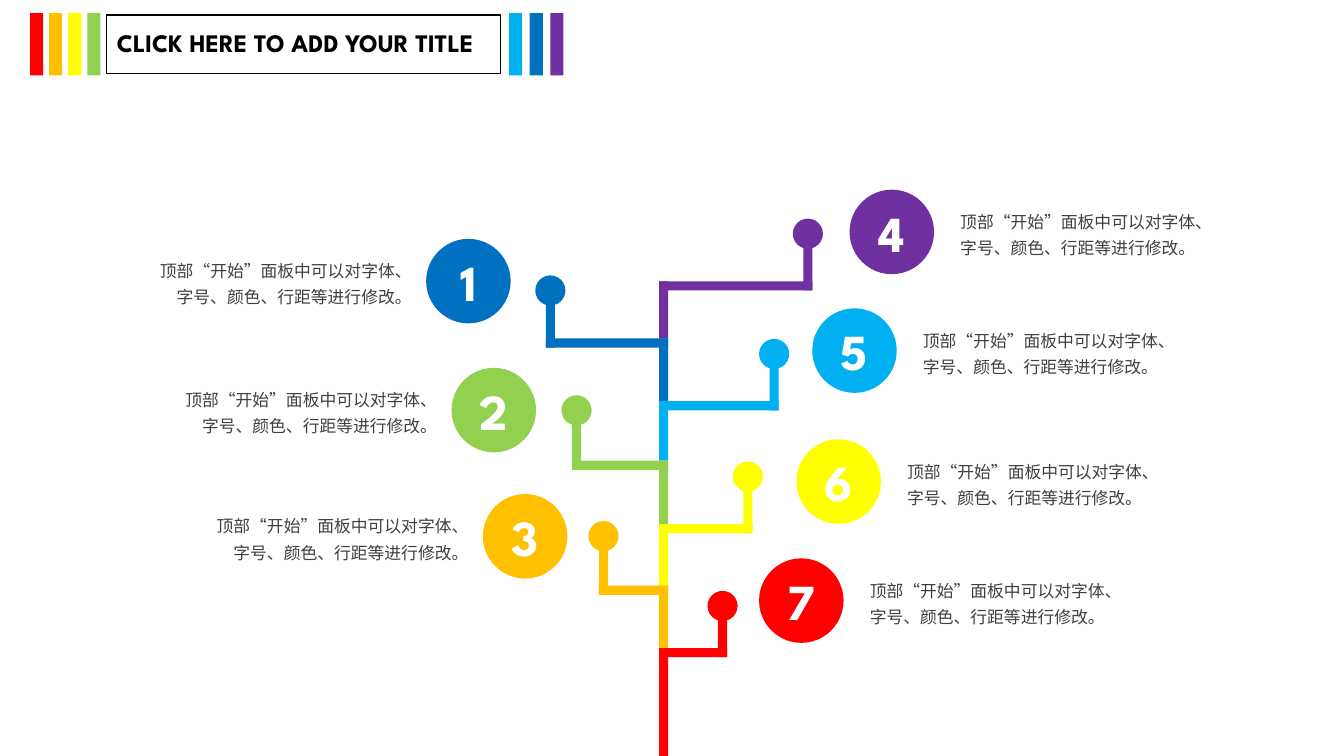
from lxml import etree
from pptx import Presentation
from pptx.dml.color import RGBColor
from pptx.enum.lang import MSO_LANGUAGE_ID
from pptx.enum.shapes import MSO_SHAPE
from pptx.enum.text import MSO_ANCHOR, MSO_AUTO_SIZE, PP_ALIGN
from pptx.oxml.ns import qn
from pptx.util import Cm, Pt

RECT, OVAL = MSO_SHAPE.RECTANGLE, MSO_SHAPE.OVAL
LEFT, CENTER, RIGHT = PP_ALIGN.LEFT, PP_ALIGN.CENTER, PP_ALIGN.RIGHT
MIDDLE = MSO_ANCHOR.MIDDLE
NO_FIT, GROW = MSO_AUTO_SIZE.NONE, MSO_AUTO_SIZE.SHAPE_TO_FIT_TEXT
CHINESE = MSO_LANGUAGE_ID.SIMPLIFIED_CHINESE

LATIN_FONT, CJK_FONT = "League Spartan", "Noto Sans CJK SC"
RED, ORANGE, YELLOW, GREEN = "FF0000", "FFC000", "FFFF00", "92D050"
CYAN, BLUE, PURPLE = "00B0F0", "0070C0", "7030A0"
TITLE = "CLICK HERE TO ADD YOUR TITLE"
NOTE = "顶部“开始”面板中可以对字体、字号、颜色、行距等进行修改。"

SLIDE_W, SLIDE_H = 33.87, 19.05
TRUNK_X, BAR = 16.61, 0.23
DOT, BADGE = 0.76, 2.13

# number, colour, trunk top, dot centre, badge corner
BRANCHES = [
    ("4", PURPLE, 7.09, (20.36, 5.89), (21.41, 4.78)),
    ("1", BLUE, 8.53, (13.87, 7.32), (10.74, 6.02)),
    ("5", CYAN, 10.11, (19.51, 8.92), (20.47, 7.77)),
    ("2", GREEN, 11.61, (14.53, 10.34), (11.38, 9.27)),
    ("6", YELLOW, 13.21, (18.85, 12.01), (20.07, 11.07)),
    ("3", ORANGE, 14.76, (15.21, 13.51), (12.17, 12.45)),
    ("7", RED, 16.33, (18.21, 15.27), (19.13, 14.07)),
]


def rgb(color):
    """Return the colour for a hex string."""
    return RGBColor.from_string(color)


def add_block(shapes, kind, x, y, w, h, color):
    """Add a plain filled shape, measured in centimetres."""
    sp = shapes.add_shape(kind, Cm(x), Cm(y), Cm(w), Cm(h))
    sp.shadow.inherit = False
    sp.fill.solid()
    sp.fill.fore_color.rgb = rgb(color)
    sp.line.fill.background()
    return sp


def add_run(p, text, size, font, color, bold=False):
    """Add one formatted run to a paragraph."""
    r = p.add_run()
    r.text = text
    r.font.size, r.font.name, r.font.bold = Pt(size), font, bold
    r.font.color.rgb = rgb(color)
    return r


def add_header(slide, x, y, w, h):
    """Place the framed title between two sets of stripes."""
    stripe_sets = [(0, 0.48, (RED, ORANGE, YELLOW, GREEN)),
                   (12.07, 0.52, (CYAN, BLUE, PURPLE))]
    for start, step, colors in stripe_sets:
        for i, color in enumerate(colors):
            add_block(slide.shapes, RECT, x + start + i * step, y, 0.33, h, color)
    sp = slide.shapes.title
    sp.left, sp.top = Cm(x + 1.93), Cm(y + 0.05)
    sp.width, sp.height = Cm(w - 3.6), Cm(h - 0.1)
    sp.line.color.rgb = rgb("000000")
    sp.line.width = Pt(1)
    tf = sp.text_frame
    tf.auto_size, tf.vertical_anchor, tf.word_wrap = NO_FIT, MIDDLE, True
    p = tf.paragraphs[0]
    p.alignment, p.line_spacing = LEFT, 0.9
    add_run(p, TITLE, 18, LATIN_FONT, "000000", True)


def add_branch(slide, x, top, bottom, dot, color):
    """Place a trunk section with its arm, post and dot."""
    dot_x, dot_y = dot
    post_x = dot_x - BAR / 2
    arm_x = min(x, post_x)
    arm_w = abs(post_x - x) + BAR
    shapes = slide.shapes
    add_block(shapes, RECT, x, top, BAR, bottom - top, color)
    add_block(shapes, RECT, arm_x, top, arm_w, BAR, color)
    add_block(shapes, RECT, post_x, dot_y, BAR, top + BAR - dot_y, color)
    add_block(shapes, OVAL, dot_x - DOT / 2, dot_y - DOT / 2, DOT, DOT, color)


def add_badge(slide, x, y, number, color):
    """Place a numbered circle with its note on the outer side."""
    on_left = x < TRUNK_X
    note_x, note_w = (x - 7.04, 6.93) if on_left else (x + 2.54, 7.04)
    group = slide.shapes.add_group_shape()
    sp = group.shapes.add_textbox(Cm(note_x), Cm(y + 0.28), Cm(note_w), Cm(1.6))
    tf = sp.text_frame
    tf.word_wrap, tf.auto_size = True, GROW
    p = tf.paragraphs[0]
    p.alignment, p.line_spacing = RIGHT if on_left else LEFT, 1.3
    r = add_run(p, NOTE, 12, CJK_FONT, "404040")
    r.font.language_id = CHINESE
    etree.SubElement(r.font._element, qn("a:ea"), typeface=CJK_FONT)

    sp = add_block(group.shapes, OVAL, x, y, BADGE, BADGE, color)
    tf = sp.text_frame
    tf.vertical_anchor = MIDDLE
    p = tf.paragraphs[0]
    p.alignment = CENTER
    add_run(p, number, 36, LATIN_FONT, "FFFFFF", True)


def add_tree(slide, x, bottom):
    """Place all branches down one trunk, then their badges."""
    ends = [branch[2] for branch in BRANCHES[1:]] + [bottom]
    for (_, color, top, dot, _), end in zip(BRANCHES, ends):
        add_branch(slide, x, top, end, dot, color)
    for number, color, _, _, (badge_x, badge_y) in sorted(BRANCHES):
        add_badge(slide, badge_x, badge_y, number, color)


def main():
    """Build the slide and save it."""
    prs = Presentation()
    prs.slide_width, prs.slide_height = Cm(SLIDE_W), Cm(SLIDE_H)
    slide = prs.slides.add_slide(prs.slide_layouts[5])
    add_header(slide, 0.76, 0.33, 13.53, 1.57)
    add_tree(slide, TRUNK_X, SLIDE_H)
    prs.save("out.pptx")


if __name__ == "__main__":
    main()
